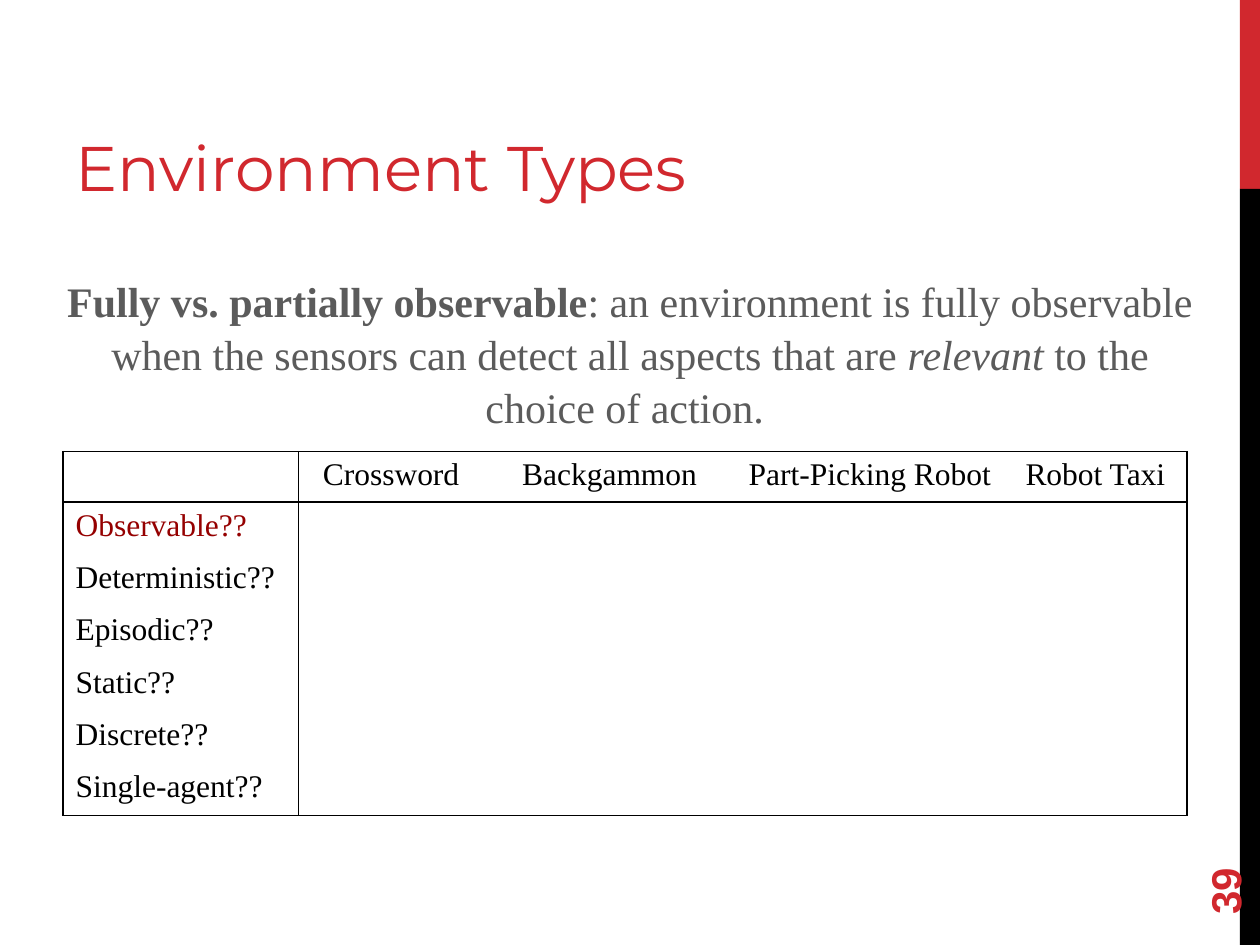
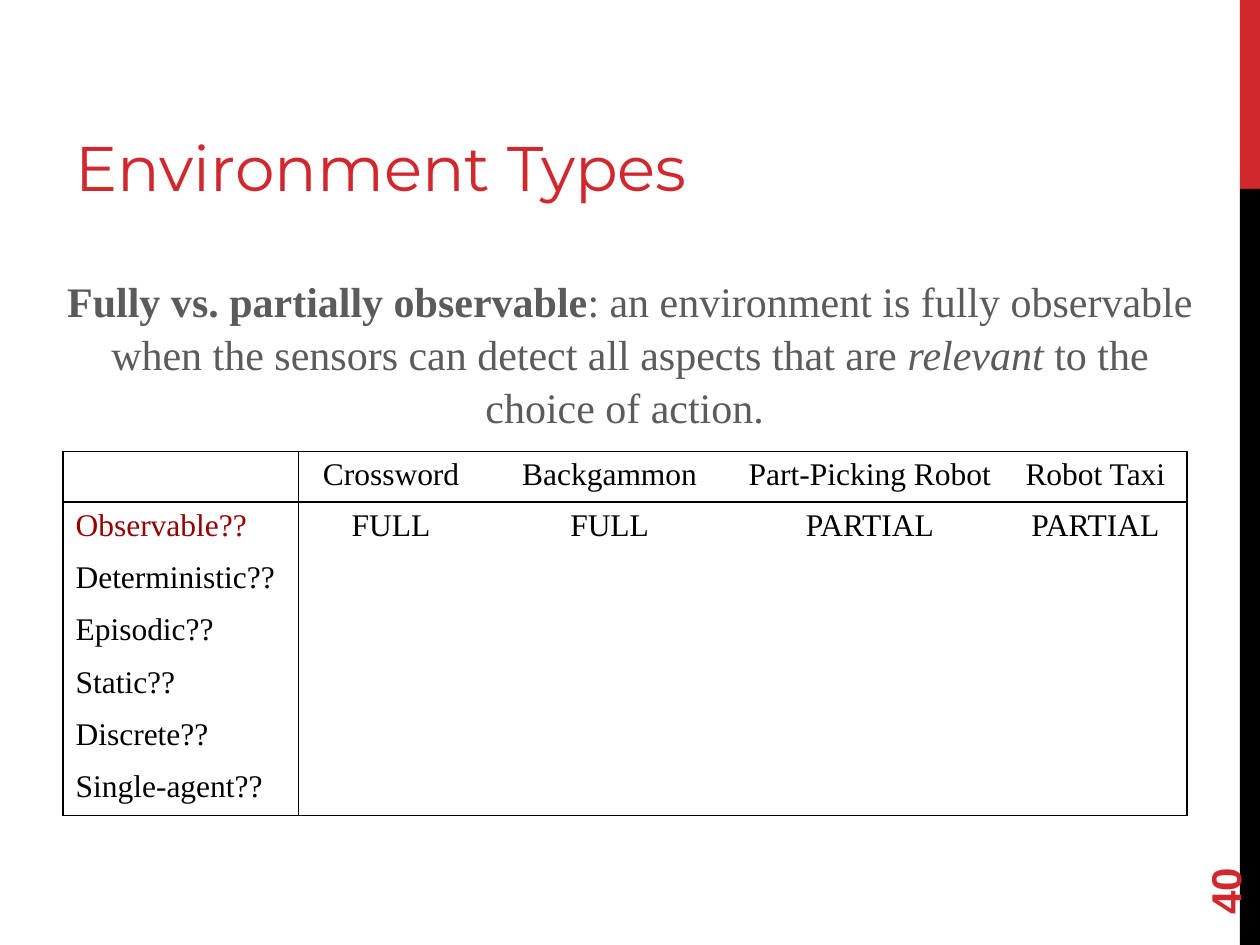
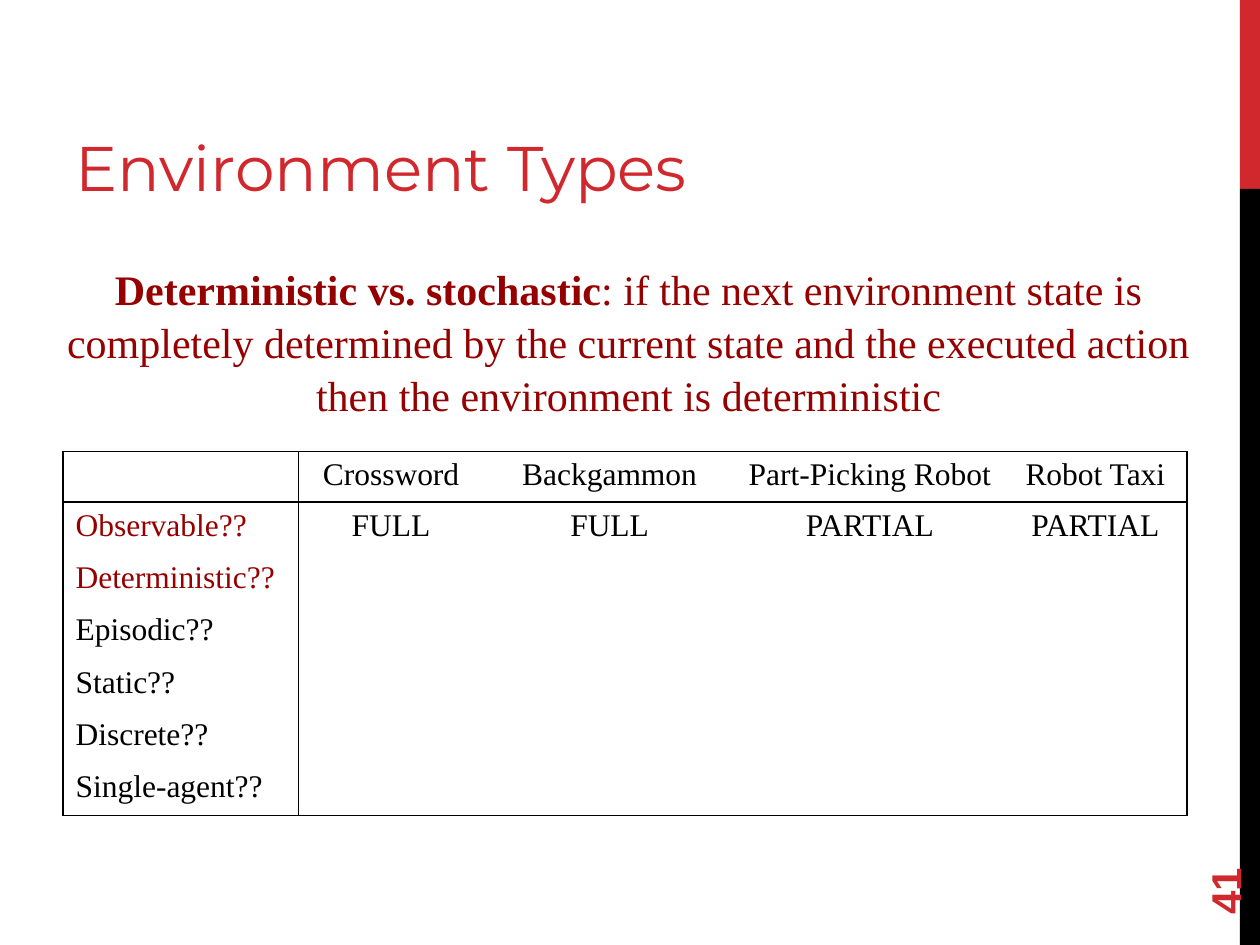
from dataclasses import dataclass

from lxml.etree import SubElement
from pptx import Presentation
from pptx.dml.color import RGBColor as RGB
from pptx.enum.shapes import MSO_SHAPE as SHAPE
from pptx.enum.text import MSO_ANCHOR as ANCHOR, PP_ALIGN as ALIGN
from pptx.oxml.ns import qn
from pptx.util import Pt


@dataclass(frozen=True)
class Theme:
    red: RGB = RGB(0xD1, 0x28, 0x2E)
    dark_red: RGB = RGB(0x95, 0x00, 0x00)
    grey: RGB = RGB(0x5B, 0x5B, 0x5B)
    black: RGB = RGB(0, 0, 0)
    white: RGB = RGB(0xFF, 0xFF, 0xFF)
    title_font: str = "Montserrat"
    body_font: str = "Times New Roman"
    number_font: str = "Arial"
    title_size: int = 36
    body_size: int = 24
    table_size: int = 18


T = Theme()
TITLE_ONLY = 5
BAND_LEFT, BAND_WIDTH, RED_HEIGHT = 708.5, 11.5, 108
PAGE_WIDTH, PAGE_HEIGHT = 720, 540
COLUMN_WIDTHS = (134.6, 105.8, 144, 153.4, 104.4)
HEADER_HEIGHT, ROW_HEIGHT = 27, 29.85
ENVIRONMENTS = ("Crossword", "Backgammon", "Part-Picking Robot", "Robot Taxi")
PROPERTIES = ("Observable??", "Deterministic??", "Episodic??", "Static??",
              "Discrete??", "Single-agent??")
OBSERVABLE = ("FULL", "FULL", "PARTIAL", "PARTIAL")

OBSERVABLE_RUNS = (
    ("Fully vs. partially observable", {"bold": True}),
    (": an environment is fully observable when the sensors can detect all "
     "aspects that are ", {}),
    ("relevant", {"italic": True}),
    (" to the choice of action. ", {}),
)
DETERMINISTIC_RUNS = (
    ("Deterministic vs. stochastic", {"bold": True}),
    (": if the next environment state is completely determined by the current "
     "state and the executed action then the environment is deterministic", {}),
)


def add_run(p, text, color, **formats):
    r = p.add_run()
    r.text = text
    r.font.color.rgb = color
    for name, value in formats.items():
        setattr(r.font, name, value)


def add_band(slide, top, height, color):
    sp = slide.shapes.add_shape(SHAPE.RECTANGLE, Pt(BAND_LEFT), Pt(top),
                                Pt(BAND_WIDTH), Pt(height))
    sp.shadow.inherit = False
    sp.fill.solid()
    sp.fill.fore_color.rgb = color
    sp.line.fill.background()


def set_title(slide, text):
    sp = slide.shapes.title
    place = {"left": 36, "top": 12, "width": 456, "height": 108}
    for name, value in place.items():
        setattr(sp, name, Pt(value))
    tf = sp.text_frame
    tf.vertical_anchor = ANCHOR.BOTTOM
    p = tf.paragraphs[0]
    p.alignment = ALIGN.LEFT
    add_run(p, text, T.red, name=T.title_font, size=Pt(T.title_size))


def add_text_box(slide, left, top, width, height):
    sp = slide.shapes.add_textbox(Pt(left), Pt(top), Pt(width), Pt(height))
    sp.text_frame.word_wrap = True
    return sp


def add_page_number(slide, number):
    sp = add_text_box(slide, 648, 463.5, 103.5, 29)
    sp.rotation = 270
    tf = sp.text_frame
    tf.vertical_anchor = ANCHOR.MIDDLE
    add_run(tf.paragraphs[0], str(number), T.red, name=T.number_font,
            size=Pt(T.body_size), bold=True)


def add_definition(slide, runs, color, left, top, width):
    p = add_text_box(slide, left, top, width, 94.5).text_frame.paragraphs[0]
    p.alignment = ALIGN.CENTER
    p.line_spacing = 1.05
    for text, formats in runs:
        add_run(p, text, color, name=T.body_font, size=Pt(T.body_size), **formats)


def set_borders(cell, sides):
    """Draw the sides marked True and clear the others."""
    tc_pr = cell._tc.get_or_add_tcPr()
    for tag, shown in sides.items():
        ln = SubElement(tc_pr, qn(f"a:{tag}"), w=str(Pt(1)))
        if shown:
            fill = SubElement(ln, qn("a:solidFill"))
            SubElement(fill, qn("a:srgbClr"), val=str(T.black))
        else:
            SubElement(ln, qn("a:noFill"))


def fill_cell(cell, text, color, alignment):
    cell.fill.solid()
    cell.fill.fore_color.rgb = T.white
    p = cell.text_frame.paragraphs[0]
    p.alignment = alignment
    if text:
        add_run(p, text, color, name=T.body_font, size=Pt(T.table_size))
    else:
        end = SubElement(p._p, qn("a:endParaRPr"), sz=str(T.table_size * 100))
        SubElement(end, qn("a:latin"), typeface=T.body_font)


def add_property_table(slide, answers, highlighted):
    """Fill the observable row with answers and mark the first row labels."""
    blank = ("",) * len(ENVIRONMENTS)
    rows = [("", *ENVIRONMENTS)]
    rows += [(name, *(answers if i == 0 and answers else blank))
             for i, name in enumerate(PROPERTIES)]
    n_rows, n_cols = len(rows), len(COLUMN_WIDTHS)
    heights = [HEADER_HEIGHT] + [ROW_HEIGHT] * len(PROPERTIES)
    table = slide.shapes.add_table(n_rows, n_cols, Pt(36), Pt(258),
                                   Pt(sum(COLUMN_WIDTHS)), Pt(sum(heights))).table
    table.first_row = table.horz_banding = False
    for column, width in zip(table.columns, COLUMN_WIDTHS):
        column.width = Pt(width)
    for row, height in zip(table.rows, heights):
        row.height = Pt(height)
    ruled_x, ruled_y = (0, 1, n_cols), (0, 1, n_rows)
    for y, texts in enumerate(rows):
        for x, text in enumerate(texts):
            cell = table.cell(y, x)
            set_borders(cell, {"lnL": x in ruled_x, "lnR": x + 1 in ruled_x,
                               "lnT": y in ruled_y, "lnB": y + 1 in ruled_y})
            marked = x == 0 and 1 <= y <= highlighted
            fill_cell(cell, text, T.dark_red if marked else T.black,
                      ALIGN.CENTER if x else ALIGN.LEFT)


def add_environment_slide(prs, number, answers, highlighted, definition):
    slide = prs.slides.add_slide(prs.slide_layouts[TITLE_ONLY])
    add_band(slide, 0, RED_HEIGHT, T.red)
    add_band(slide, RED_HEIGHT, PAGE_HEIGHT - RED_HEIGHT, T.black)
    set_title(slide, "Environment Types")
    add_page_number(slide, number)
    add_property_table(slide, answers, highlighted)
    add_definition(slide, *definition)


def main():
    prs = Presentation()
    prs.slide_width, prs.slide_height = Pt(PAGE_WIDTH), Pt(PAGE_HEIGHT)
    observable = (OBSERVABLE_RUNS, T.grey, 27, 152.5, 666)
    deterministic = (DETERMINISTIC_RUNS, T.dark_red, 21.5, 145.5, 675.5)
    add_environment_slide(prs, 39, None, 1, observable)
    add_environment_slide(prs, 40, OBSERVABLE, 1, observable)
    add_environment_slide(prs, 41, OBSERVABLE, 2, deterministic)
    prs.save("out.pptx")


if __name__ == "__main__":
    main()
